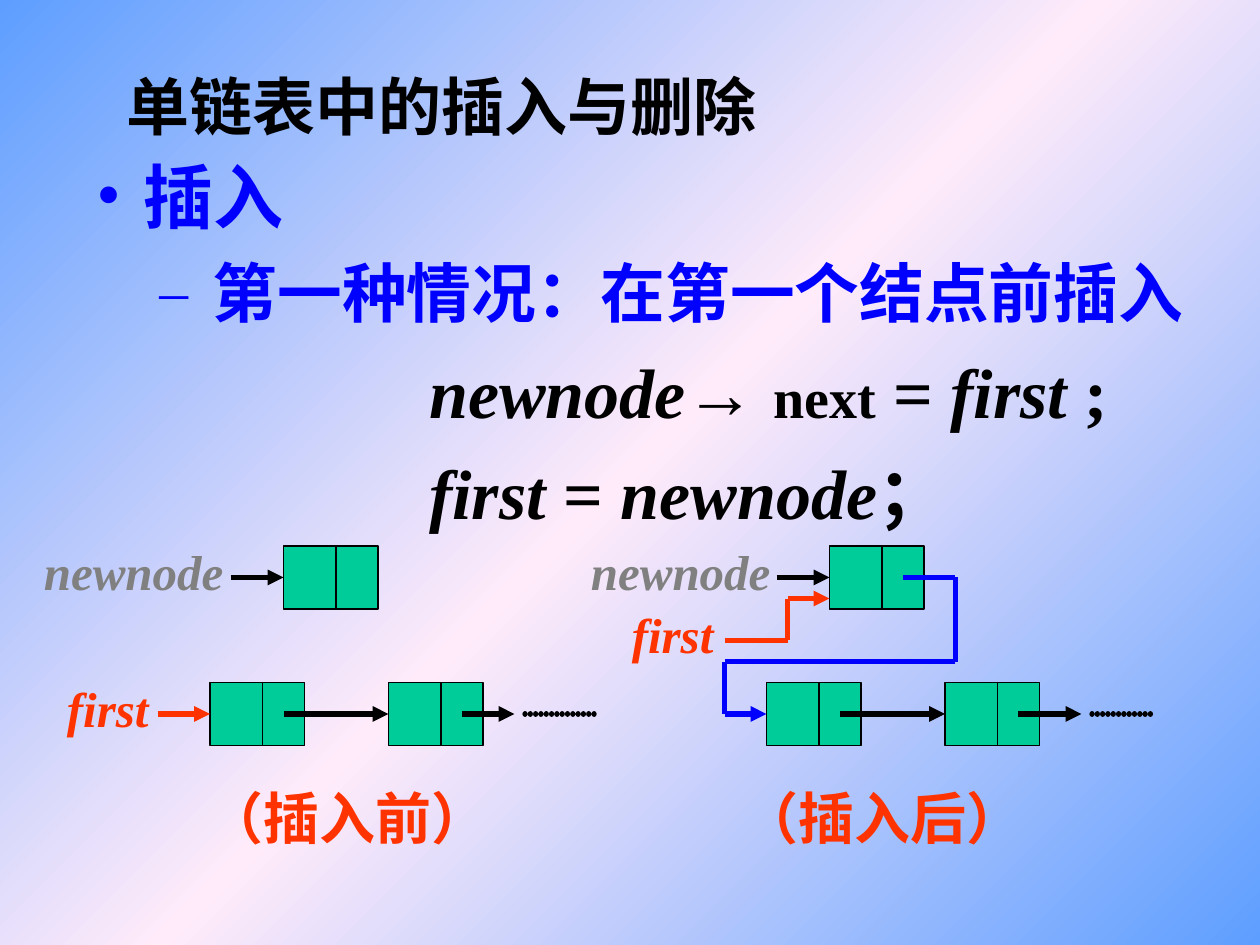
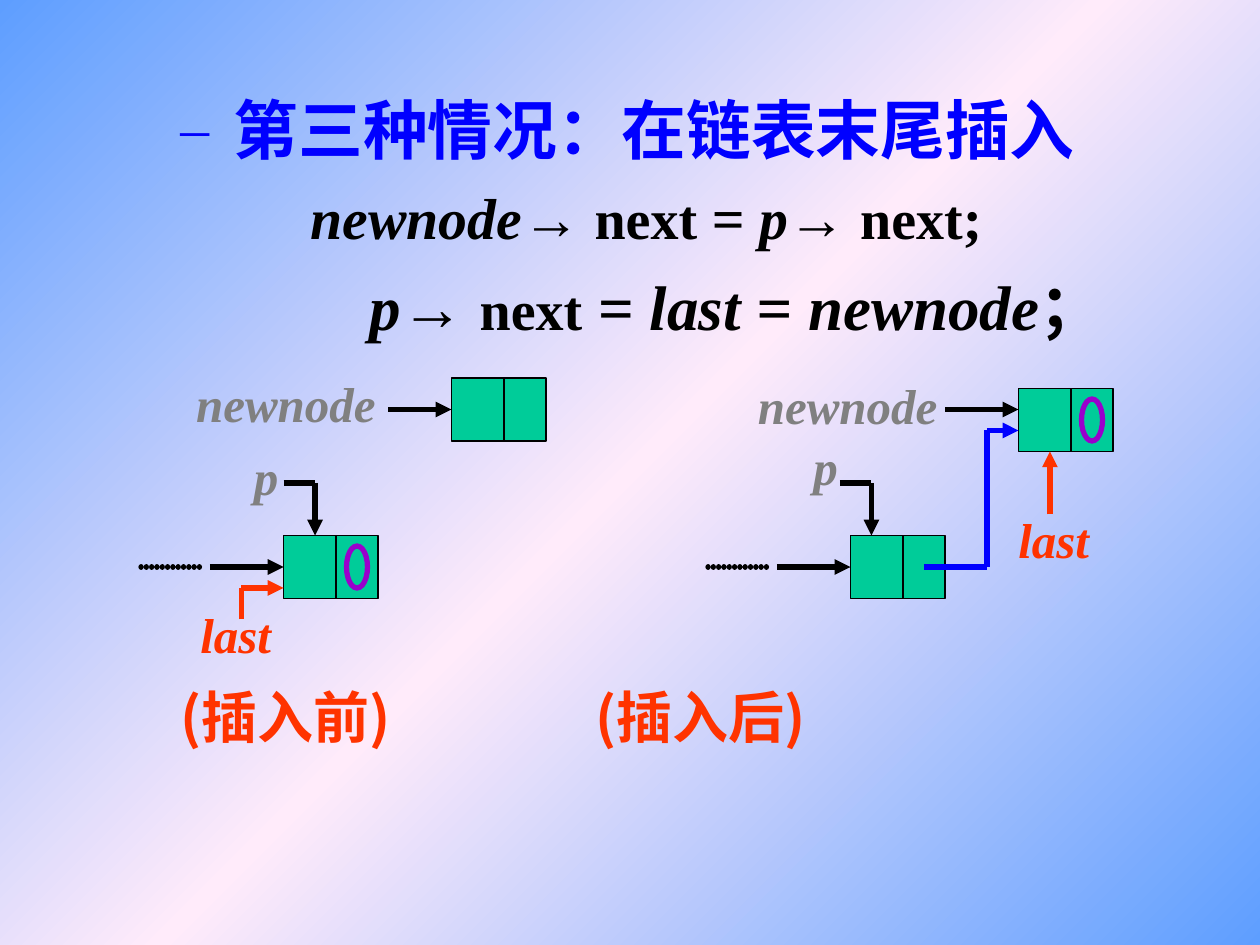
from copy import deepcopy
from itertools import pairwise
from lxml.etree import SubElement as Sub
from pptx import Presentation
from pptx.dml.color import RGBColor
from pptx.enum.shapes import MSO_CONNECTOR as Conn, MSO_SHAPE as Shape
from pptx.enum.text import MSO_ANCHOR as Anchor, MSO_AUTO_SIZE as Auto, PP_ALIGN as Align
from pptx.oxml.ns import qn
from pptx.util import Pt

PX = 7620
LATIN, ASIAN = "Times New Roman", "Noto Sans CJK SC"
BLACK, GREY, RED, BLUE = "000000", "808080", "FF3300", "0000FF"
GREEN, PURPLE = "00CC99", "9900CC"
SKY, PINK = "5E9EFF", "FFEBFA"
NODE_W, NODE_H, SPLIT = 90, 60, 50
WIDTHS = {"newnode": 210, "first": 115, "last": 105, "p": 60}


def case(text):
    return dict(level=1, left=111, first=-51, gap=9.2, bullet="–", scale=89,
                color=BLUE, runs=[(text, 37, False)])


def code(first, gap, *runs):
    return dict(first=first, gap=gap, runs=runs)


SLIDES = [
    dict(
        title="单链表中的插入与删除",
        body=(80, 140, 1120, 670),
        lines=[
            dict(left=45, first=-45, bullet="•", color=BLUE, runs=[("插入", 40, False)]),
            case("第一种情况：在第一个结点前插入"),
            code(317, 10, ("newnode", 40, True), ("→ ", 40, False), ("next", 32, False),
                 (" = ", 40, False), ("first", 40, True), (" ;", 40, False)),
            code(317, 10, ("first", 40, True), (" = ", 40, False),
                 ("newnode", 40, True), ("；", 40, False)),
        ],
        labels=[
            ("newnode", 30, 510, GREY), ("newnode", 551, 510, GREY),
            ("first", 52, 640, RED), ("first", 590, 570, RED),
        ],
        notes=[("（插入前）", 186, 740), ("（插入后）", 695, 740)],
        note_font=LATIN,
        nodes=[(200, 650), (370, 650), (270, 520), (790, 520), (730, 650), (900, 650)],
        nulls=[],
        arrows=[
            (RED, (150, 680), (200, 680)),
            (BLACK, (270, 680), (370, 680)),
            (BLACK, (440, 680), (490, 680)),
            (BLACK, (220, 550), (270, 550)),
            (BLACK, (740, 550), (790, 550)),
            (RED, (690, 610), (750, 610), (750, 570), (790, 570)),
            (BLUE, (860, 550), (910, 550), (910, 630), (690, 630), (690, 680), (730, 680)),
            (BLACK, (800, 680), (900, 680)),
            (BLACK, (970, 680), (1030, 680)),
        ],
        dots=[((500, 680), (570, 680)), ((1040, 680), (1100, 680))],
    ),
    dict(
        title=None,
        body=(100, 80, 1050, 540),
        lines=[
            case("第三种情况：在链表末尾插入"),
            code(184, 8.2, ("newnode", 33, True), ("→ ", 33, False), ("next", 32, False),
                 (" = ", 33, False), ("p", 33, True), ("→ ", 33, False),
                 ("next", 32, False), (";", 33, False)),
            code(240, 9, ("p", 36, True), ("→ ", 36, False), ("next", 32, False),
                 (" = ", 36, False), ("last", 36, True), (" = ", 36, False),
                 ("newnode", 36, True), ("；", 36, False)),
        ],
        labels=[
            ("newnode", 175, 350, GREY), ("newnode", 710, 352, GREY),
            ("p", 230, 419, GREY), ("p", 763, 410, GREY),
            ("last", 179, 570, RED), ("last", 958, 479, RED),
        ],
        notes=[("(插入前)", 160, 644), ("(插入后)", 555, 644)],
        note_font=ASIAN,
        nodes=[(270, 510), (430, 360), (810, 510), (970, 370)],
        nulls=[(270, 510), (970, 370)],
        arrows=[
            (BLACK, (370, 390), (430, 390)),
            (BLACK, (900, 390), (970, 390)),
            (BLUE, (880, 540), (940, 540), (940, 410), (970, 410)),
            (BLACK, (740, 540), (810, 540)),
            (RED, (1000, 490), (1000, 430)),
            (BLACK, (200, 540), (270, 540)),
            (BLACK, (270, 460), (300, 460), (300, 510)),
            (RED, (230, 590), (230, 560), (270, 560)),
            (BLACK, (800, 460), (830, 460), (830, 510)),
        ],
        dots=[((730, 540), (670, 540)), ((190, 540), (130, 540))],
    ),
]


def px(*nums):
    return [int(n * PX) for n in nums]


def rgb(color):
    return RGBColor.from_string(color)


def put(par, text, size=28, color=BLACK, italic=False, face=LATIN):
    run = par.add_run()
    run.text = text
    font = run.font
    font.name, font.size = face, Pt(size)
    font.bold, font.italic = True, italic
    font.color.rgb = rgb(color)
    Sub(font._element, qn("a:ea")).set("typeface", ASIAN)


def paint(master):
    master.background.fill.gradient()
    stops = master.element.find(".//" + qn("a:gsLst"))
    first = deepcopy(stops[0])
    for stop in list(stops):
        stops.remove(stop)
    for pos, color in ((0, SKY), (50, PINK), (100, SKY)):
        stop = deepcopy(first)
        stop.set("pos", str(pos * 1000))
        for old in list(stop):
            stop.remove(old)
        Sub(stop, qn("a:srgbClr")).set("val", color)
        stops.append(stop)
    lin = stops.getparent().find(qn("a:lin"))
    lin.set("ang", str(225 * 60000))
    lin.set("scaled", "0")


def frame(slide, x, y, w, h, wrap=False):
    box = slide.shapes.add_textbox(*px(x, y, w, h)).text_frame
    box.word_wrap = wrap
    return box


def write(slide, spec):
    box = frame(slide, *spec["body"], wrap=True)
    for i, line in enumerate(spec["lines"]):
        par = box.add_paragraph() if i else box.paragraphs[0]
        par.level = line.get("level", 0)
        if i:
            par.space_before = Pt(line["gap"])
        props = par._p.get_or_add_pPr()
        left, first = px(line.get("left", 0), line["first"])
        props.set("marL", str(left))
        props.set("indent", str(first))
        color = line.get("color", BLACK)
        if "bullet" in line:
            Sub(Sub(props, qn("a:buClr")), qn("a:srgbClr")).set("val", color)
            Sub(props, qn("a:buSzPct")).set("val", str(line.get("scale", 100) * 1000))
            Sub(props, qn("a:buFont")).set("typeface", LATIN)
            Sub(props, qn("a:buChar")).set("char", line["bullet"])
        for text, size, italic in line["runs"]:
            put(par, text, size=size, color=color, italic=italic)


def block(slide, kind, x, y, w, h, color, width):
    shape = slide.shapes.add_shape(kind, *px(x, y, w, h))
    shape.shadow.inherit = False
    shape.fill.solid()
    shape.fill.fore_color.rgb = rgb(GREEN)
    shape.line.color.rgb = rgb(color)
    shape.line.width = Pt(width)
    return shape


def sides(x, y):
    mid_x, mid_y = x + NODE_W // 2, y + NODE_H // 2
    return (mid_x, y), (x, mid_y), (mid_x, y + NODE_H), (x + NODE_W, mid_y)


def link(slide, start, end, color=BLACK, width=3, head=False, dots=False, joins={}):
    line = slide.shapes.add_connector(Conn.STRAIGHT, *px(*start, *end))
    line.line.color.rgb = rgb(color)
    line.line.width = Pt(width)
    if start in joins:
        line.begin_connect(*joins[start])
    if end in joins:
        line.end_connect(*joins[end])
    props = line._element.spPr
    stroke = props.find(qn("a:ln"))
    if dots:
        stroke.set("cap", "rnd")
        dash = Sub(Sub(stroke, qn("a:custDash")), qn("a:ds"))
        dash.set("d", "100000")
        dash.set("sp", "1000")
    if head:
        Sub(stroke, qn("a:tailEnd")).set("type", "triangle")
    Sub(props, qn("a:effectLst"))


def name(slide, text):
    title = slide.shapes.title
    title.left, title.top, title.width, title.height = px(70, 50, 700, 100)
    box = title.text_frame
    box.auto_size, box.word_wrap = Auto.NONE, True
    box.vertical_anchor = Anchor.MIDDLE
    box.paragraphs[0].alignment = Align.CENTER
    put(box.paragraphs[0], text, size=36)


def build(deck, spec):
    slide = deck.slides.add_slide(deck.slide_layouts[5 if spec["title"] else 6])
    if spec["title"]:
        name(slide, spec["title"])
    write(slide, spec)
    for text, x, y in spec["notes"]:
        par = frame(slide, x, y, 300, 77, wrap=True).paragraphs[0]
        put(par, text, size=32, color=RED, face=spec["note_font"])
    joins = {}
    for x, y in spec["nodes"]:
        node = block(slide, Shape.RECTANGLE, x, y, NODE_W, NODE_H, BLACK, 0.75)
        joins |= {spot: (node, i) for i, spot in enumerate(sides(x, y))}
        link(slide, (x + SPLIT, y), (x + SPLIT, y + NODE_H), width=0.75)
    for x, y in spec["nulls"]:
        block(slide, Shape.OVAL, x + 60, y + 10, 20, 40, PURPLE, 3)
    for color, *spots in spec["arrows"]:
        for start, end in pairwise(spots):
            link(slide, start, end, color=color, head=end == spots[-1], joins=joins)
    for start, end in spec["dots"]:
        link(slide, start, end, dots=True)
    for text, x, y, color in spec["labels"]:
        par = frame(slide, x, y, WIDTHS[text], 68, wrap=True).paragraphs[0]
        put(par, text, color=color, italic=True)


def main():
    deck = Presentation()
    deck.slide_width, deck.slide_height = px(1200, 900)
    paint(deck.slide_master)
    for spec in SLIDES:
        build(deck, spec)
    deck.save("out.pptx")


if __name__ == "__main__":
    main()
